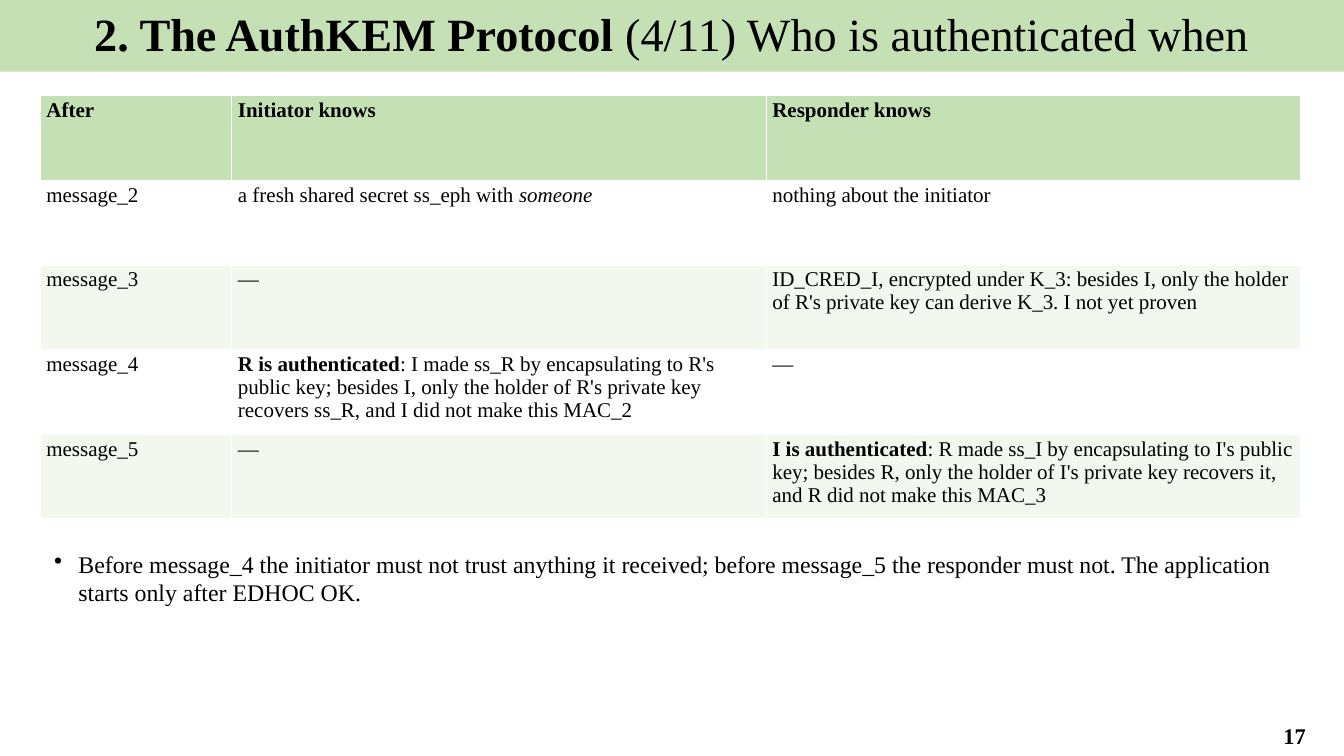
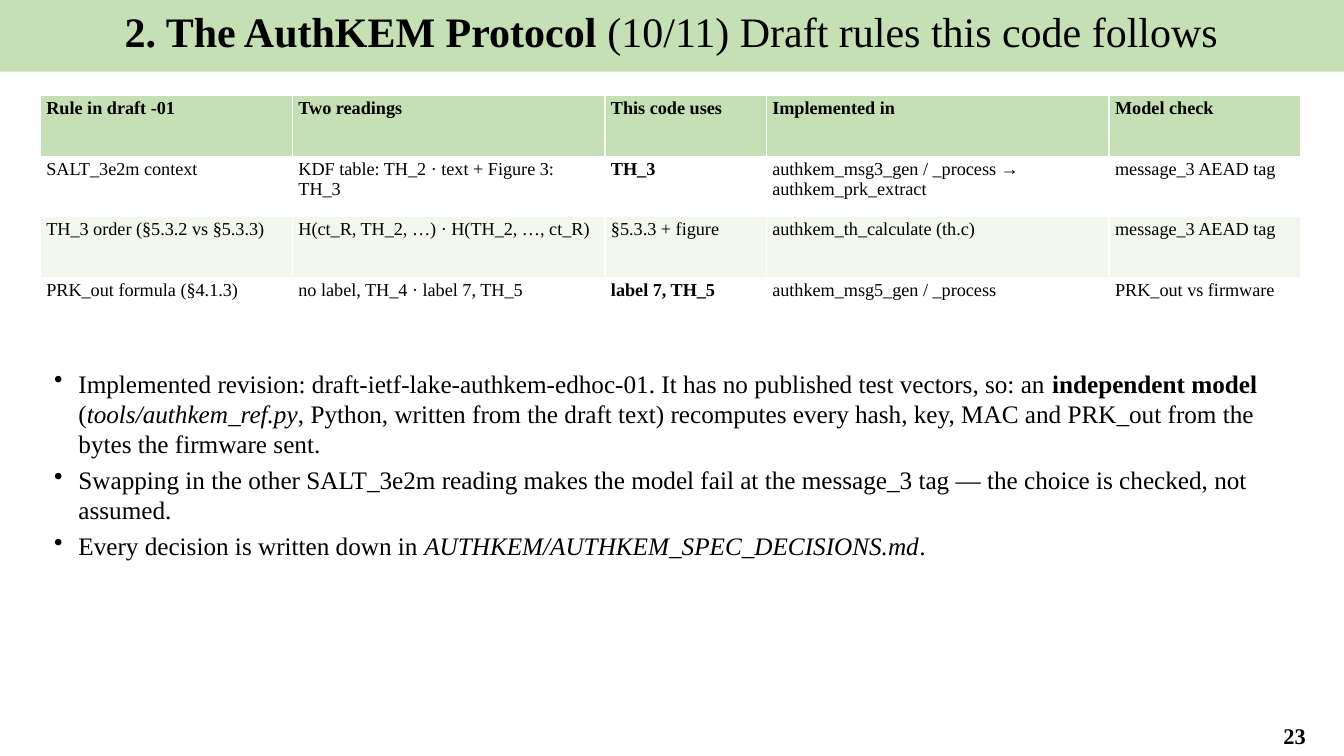
"""Build two slides on the AuthKEM protocol: authentication steps and draft rules."""
from dataclasses import dataclass
from typing import NamedTuple

import lxml.etree
import pptx
import pptx.dml.color
import pptx.enum.text
import pptx.oxml.ns
import pptx.slide
import pptx.text.text
import pptx.util

Inches = pptx.util.Inches
FONT = "Times New Roman"
BLACK, WHITE, BAND_GREEN, STRIPE_GREEN = "000000", "FFFFFF", "C5E0B4", "F2F8EE"
SECTION = "2. The AuthKEM Protocol "
SLIDE_WIDTH, SLIDE_HEIGHT = 13.33, 7.5
CONTENT_LEFT, CONTENT_WIDTH, TABLE_TOP = 0.4, 12.5, 0.95


class Run(NamedTuple):
    """A stretch of text in one style."""
    text: str
    bold: bool = False
    italic: bool = False


Phrase = str | list[Run]


@dataclass
class Grid:
    """A table with a header row."""
    widths: list[float]
    row_height: float
    size: float
    header: list[str]
    rows: list[list[Phrase]]


@dataclass
class Notes:
    """A bulleted list below the table."""
    top: float
    height: float
    size: float
    points: list[Phrase]


@dataclass
class Page:
    """The content of one slide."""
    number: int
    heading: str
    heading_size: float
    grid: Grid
    notes: Notes


PAGES = [
    Page(
        17, "(4/11) Who is authenticated when", 33,
        Grid(
            [1.9, 5.3, 5.3], 0.84, 15,
            ["After", "Initiator knows", "Responder knows"],
            [
                ["message_2",
                 [Run("a fresh shared secret ss_eph with "), Run("someone", italic=True)],
                 "nothing about the initiator"],
                ["message_3", "—",
                 "ID_CRED_I, encrypted under K_3: besides I, only the holder of R's "
                 "private key can derive K_3. I not yet proven"],
                ["message_4",
                 [Run("R is authenticated", bold=True),
                  Run(": I made ss_R by encapsulating to R's public key; besides I, only the "
                      "holder of R's private key recovers ss_R, and I did not make this MAC_2")],
                 "—"],
                ["message_5", "—",
                 [Run("I is authenticated", bold=True),
                  Run(": R made ss_I by encapsulating to I's public key; besides R, only the "
                      "holder of I's private key recovers it, and R did not make this MAC_3")]],
            ],
        ),
        Notes(5.4, 1.4, 17, [
            "Before message_4 the initiator must not trust anything it received; before "
            "message_5 the responder must not. The application starts only after EDHOC OK.",
        ]),
    ),
    Page(
        23, "(10/11) Draft rules this code follows", 30,
        Grid(
            [2.5, 3.1, 1.6, 3.4, 1.9], 0.6, 13,
            ["Rule in draft -01", "Two readings", "This code uses", "Implemented in",
             "Model check"],
            [
                ["SALT_3e2m context", "KDF table: TH_2 · text + Figure 3: TH_3",
                 [Run("TH_3", bold=True)],
                 "authkem_msg3_gen / _process → authkem_prk_extract", "message_3 AEAD tag"],
                ["TH_3 order (§5.3.2 vs §5.3.3)", "H(ct_R, TH_2, …) · H(TH_2, …, ct_R)",
                 "§5.3.3 + figure", "authkem_th_calculate (th.c)", "message_3 AEAD tag"],
                ["PRK_out formula (§4.1.3)", "no label, TH_4 · label 7, TH_5",
                 [Run("label 7, TH_5", bold=True)],
                 "authkem_msg5_gen / _process", "PRK_out vs firmware"],
            ],
        ),
        Notes(3.6, 3.3, 18, [
            [Run("Implemented revision: draft-ietf-lake-authkem-edhoc-01. It has no published "
                 "test vectors, so: an "),
             Run("independent model", bold=True), Run(" ("),
             Run("tools/authkem_ref.py", italic=True),
             Run(", Python, written from the draft text) recomputes every hash, key, MAC and "
                 "PRK_out from the bytes the firmware sent.")],
            "Swapping in the other SALT_3e2m reading makes the model fail at the message_3 "
            "tag — the choice is checked, not assumed.",
            [Run("Every decision is written down in "),
             Run("AUTHKEM/AUTHKEM_SPEC_DECISIONS.md", italic=True), Run(".")],
        ]),
    ),
]


def color(value: str) -> pptx.dml.color.RGBColor:
    """Turn a hex string into a colour."""
    return pptx.dml.color.RGBColor.from_string(value)


def write(paragraph: pptx.text.text._Paragraph, phrase: Phrase, size: float) -> None:
    """Add a phrase to a paragraph, run by run."""
    for part in [Run(phrase)] if isinstance(phrase, str) else phrase:
        run = paragraph.add_run()
        run.text = part.text
        run.font.name = FONT
        run.font.size = pptx.util.Pt(size)
        run.font.bold = part.bold
        run.font.italic = part.italic
        run.font.color.rgb = color(BLACK)


def add_heading(slide: pptx.slide.Slide, page: Page) -> None:
    """Turn the title placeholder into the green heading band."""
    title = slide.shapes.title
    title.left, title.top = Inches(-0.01), Inches(0)
    title.width, title.height = Inches(13.34), Inches(0.71)
    title.fill.solid()
    title.fill.fore_color.rgb = color(BAND_GREEN)
    frame = title.text_frame
    frame.auto_size = pptx.enum.text.MSO_AUTO_SIZE.NONE
    frame.vertical_anchor = pptx.enum.text.MSO_ANCHOR.TOP
    frame.word_wrap = True
    frame.paragraphs[0].alignment = pptx.enum.text.PP_ALIGN.CENTER
    write(frame.paragraphs[0], [Run(SECTION, bold=True), Run(page.heading)], page.heading_size)


def add_page_number(slide: pptx.slide.Slide, number: int) -> None:
    """Put the page number in the bottom right corner."""
    frame = slide.shapes.add_textbox(
        Inches(12.35), Inches(7.1), Inches(0.98), Inches(0.39)).text_frame
    frame.word_wrap = True
    frame.vertical_anchor = pptx.enum.text.MSO_ANCHOR.MIDDLE
    frame.paragraphs[0].alignment = pptx.enum.text.PP_ALIGN.CENTER
    write(frame.paragraphs[0], [Run(str(number), bold=True)], 16)


def add_grid(slide: pptx.slide.Slide, grid: Grid) -> None:
    """Draw the table with a green header and striped rows."""
    header: list[Phrase] = [[Run(label, bold=True)] for label in grid.header]
    rows = [header, *grid.rows]
    table = slide.shapes.add_table(
        len(rows), len(grid.widths), Inches(CONTENT_LEFT), Inches(TABLE_TOP),
        Inches(CONTENT_WIDTH), Inches(grid.row_height * len(rows))).table
    for column, width in zip(table.columns, grid.widths):
        column.width = Inches(width)
    for index, phrases in enumerate(rows):
        table.rows[index].height = Inches(grid.row_height)
        fill = BAND_GREEN if index == 0 else WHITE if index % 2 else STRIPE_GREEN
        for cell, phrase in zip(table.rows[index].cells, phrases):
            cell.margin_left = cell.margin_right = Inches(0.06)
            cell.margin_top = cell.margin_bottom = Inches(0.03)
            cell.fill.solid()
            cell.fill.fore_color.rgb = color(fill)
            write(cell.text_frame.paragraphs[0], phrase, grid.size)


def add_notes(slide: pptx.slide.Slide, notes: Notes) -> None:
    """Write the bulleted list."""
    frame = slide.shapes.add_textbox(
        Inches(CONTENT_LEFT), Inches(notes.top),
        Inches(CONTENT_WIDTH), Inches(notes.height)).text_frame
    frame.word_wrap = True
    for index, point in enumerate(notes.points):
        paragraph = frame.add_paragraph() if index else frame.paragraphs[0]
        properties = paragraph._p.get_or_add_pPr()
        properties.set("marL", str(Inches(0.28)))
        properties.set("indent", str(Inches(-0.24)))
        lxml.etree.SubElement(properties, pptx.oxml.ns.qn("a:buChar")).set("char", "•")
        paragraph.space_after = pptx.util.Pt(4)
        write(paragraph, point, notes.size)


def main() -> None:
    """Build and save the presentation."""
    presentation = pptx.Presentation()
    presentation.slide_width = Inches(SLIDE_WIDTH)
    presentation.slide_height = Inches(SLIDE_HEIGHT)
    title_only = presentation.slide_layouts.get_by_name("Title Only")
    for page in PAGES:
        slide = presentation.slides.add_slide(title_only)
        add_heading(slide, page)
        add_page_number(slide, page.number)
        add_grid(slide, page.grid)
        add_notes(slide, page.notes)
    presentation.save("out.pptx")


if __name__ == "__main__":
    main()
